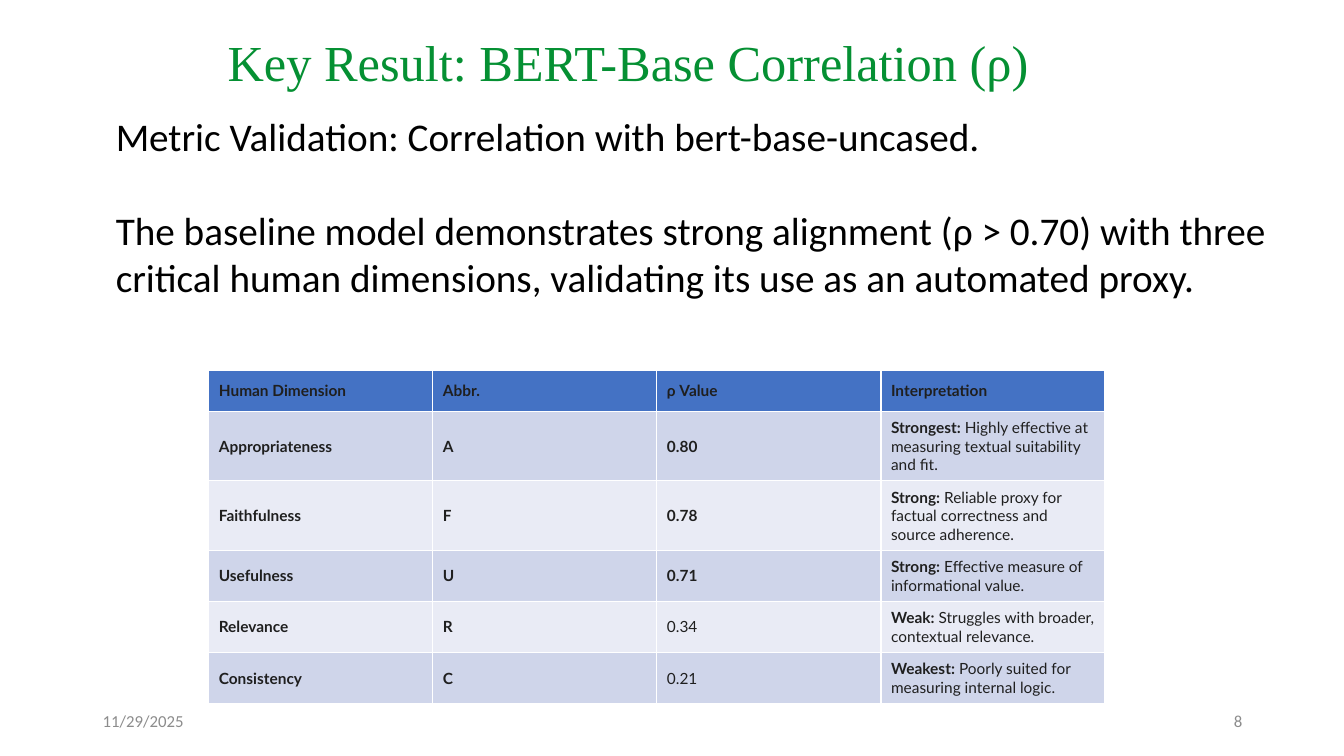
from pptx import Presentation
from pptx import util as u
from pptx.dml.color import RGBColor
from pptx.enum import text as t

GREEN = RGBColor(0x05, 0x90, 0x33)
GRAY = RGBColor(0x8C, 0x8C, 0x8C)
BLACK = RGBColor(0, 0, 0)
INK = RGBColor(0x1F, 0x1F, 0x1F)
HEAD = RGBColor(0x44, 0x72, 0xC4)
BANDS = RGBColor(0xCF, 0xD5, 0xEA), RGBColor(0xE9, 0xEB, 0xF5)

LEFT, MID, RIGHT = t.PP_ALIGN.LEFT, t.PP_ALIGN.CENTER, t.PP_ALIGN.RIGHT
CENTER = t.MSO_ANCHOR.MIDDLE
CELL = dict(vertical_anchor=CENTER, margin_left=u.Inches(0.1), margin_right=u.Inches(0.1),
            margin_top=u.Inches(0.07), margin_bottom=u.Inches(0.07))

BODY = ["Metric Validation: Correlation with bert-base-uncased.",
        "The baseline model demonstrates strong alignment (ρ > 0.70) with three "
        "critical human dimensions, validating its use as an automated proxy."]
TITLES = ["Human Dimension", "Abbr.", "ρ Value", "Interpretation"]
SCORES = [
    ("Appropriateness", 0.80, "Strongest:", " Highly effective at measuring textual suitability and fit."),
    ("Faithfulness", 0.78, "Strong:", " Reliable proxy for factual correctness and source adherence."),
    ("Usefulness", 0.71, "Strong:", " Effective measure of informational value."),
    ("Relevance", 0.34, "Weak:", " Struggles with broader, contextual relevance."),
    ("Consistency", 0.21, "Weakest:", " Poorly suited for measuring internal logic."),
]
STRONG = 0.70


def apply(item, form):
    for name, value in form.items():
        setattr(item, name, value)


def add_run(para, words, font, size, color, bold=False):
    run = para.add_run()
    run.text = words
    apply(run.font, dict(name=font, size=u.Pt(size), bold=bold))
    run.font.color.rgb = color


def add_text(slide, box, lines, font, size, color, align=LEFT, anchor=CENTER,
             indent=0, gap=0, pitch=1.0):
    """Place paragraphs in a box; gap is the space between them in points."""
    frame = slide.shapes.add_textbox(*map(u.Inches, box)).text_frame
    apply(frame, dict(word_wrap=True, vertical_anchor=anchor))
    for i, line in enumerate(lines):
        para = frame.add_paragraph() if i else frame.paragraphs[0]
        apply(para, dict(alignment=align, line_spacing=pitch, space_before=u.Pt(gap if i else 0)))
        para._p.get_or_add_pPr().set("marL", str(u.Inches(indent)))
        add_run(para, line, font, size, color)


def add_scores(slide, box):
    """Draw the score table; values above the threshold are bold."""
    rows = [[[(title, True)] for title in TITLES]]
    for name, score, grade, note in SCORES:
        rows.append([[(name, True)], [(name[0], True)],
                     [(f"{score:.2f}", score > STRONG)], [(grade, True), (note, False)]])
    table = slide.shapes.add_table(len(rows), len(TITLES), *map(u.Inches, box)).table
    for r, row in enumerate(rows):
        for c, parts in enumerate(row):
            cell = table.cell(r, c)
            apply(cell, CELL)
            cell.fill.solid()
            cell.fill.fore_color.rgb = BANDS[(r - 1) % 2] if r else HEAD
            for words, bold in parts:
                add_run(cell.text_frame.paragraphs[0], words, "Lato", 11, INK, bold)


def add_foot(slide, box, date, page):
    left, top, width, height = box
    part = 3
    for x, words, align in ((left, date, LEFT), (left + width - part, page, RIGHT)):
        add_text(slide, (x, top, part, height), [words], "Calibri", 12, GRAY, align)


def main():
    deck = Presentation()
    apply(deck, dict(slide_width=u.Inches(13.33), slide_height=u.Inches(7.5)))
    slide = deck.slides.add_slide(deck.slide_layouts[6])
    add_text(slide, (1.63, -0.08, 9.33, 1.45), ["Key Result: BERT-Base Correlation (ρ) "],
             "Times New Roman", 36, GREEN, MID, pitch=0.9)
    add_foot(slide, (0.92, 6.95, 11.5, 0.4), "11/29/2025", "8")
    add_text(slide, (0.55, 1.06, 12.24, 1.99), BODY, "Calibri", 28, BLACK,
             anchor=t.MSO_ANCHOR.TOP, indent=0.5, gap=34)
    add_scores(slide, (2.07, 3.67, 8.89, 2.46))
    deck.save("out.pptx")


if __name__ == "__main__":
    main()
